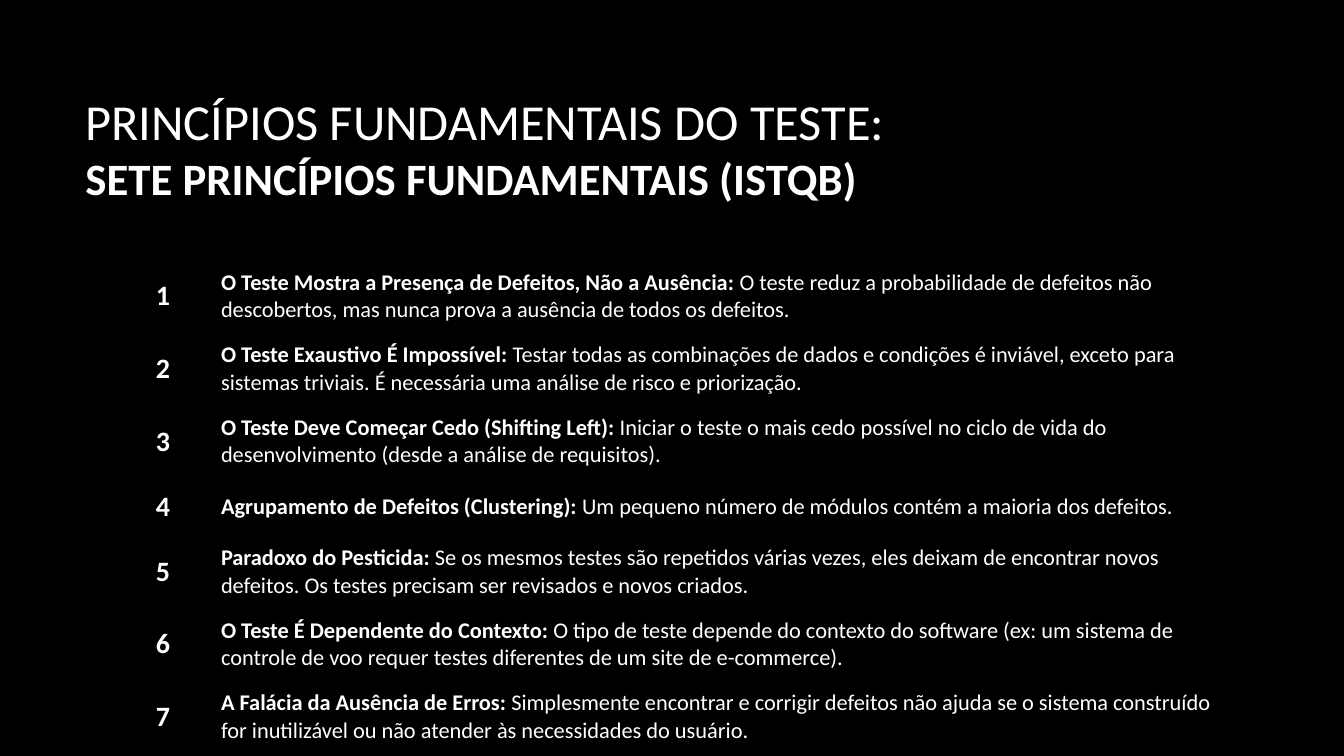
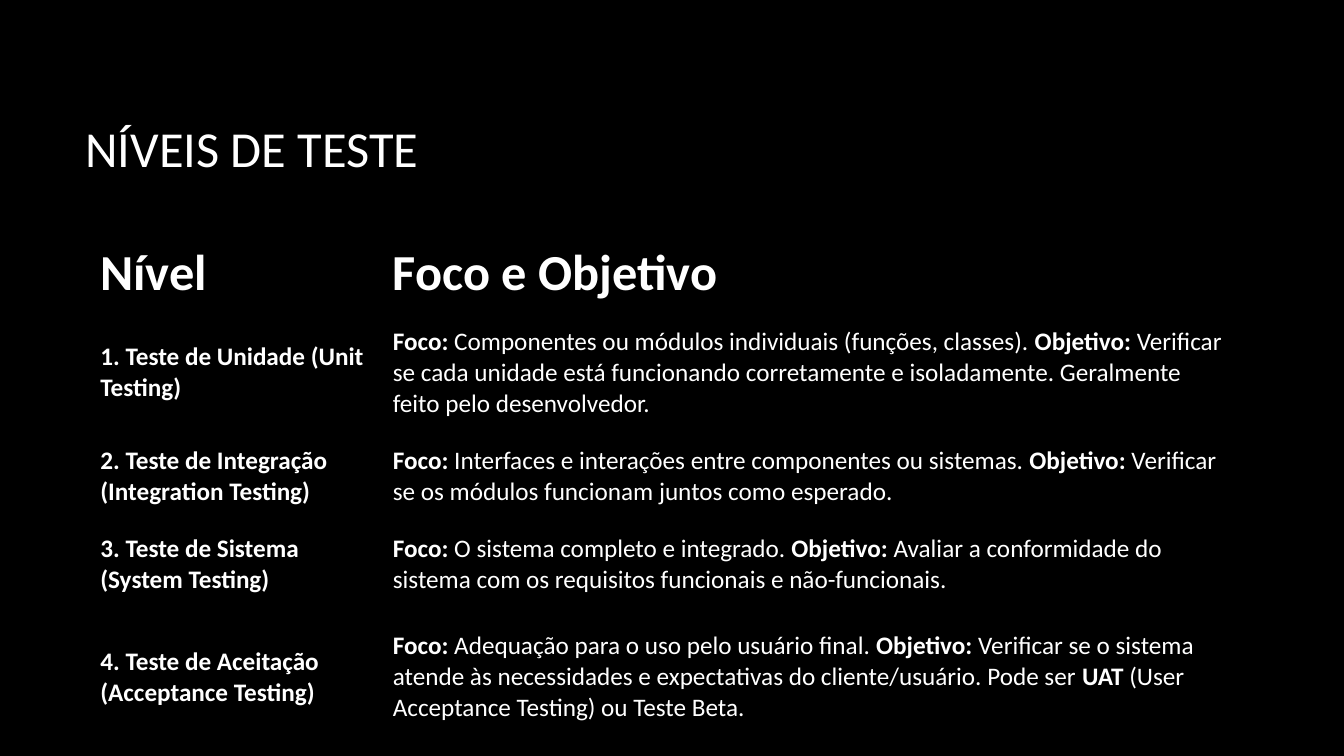
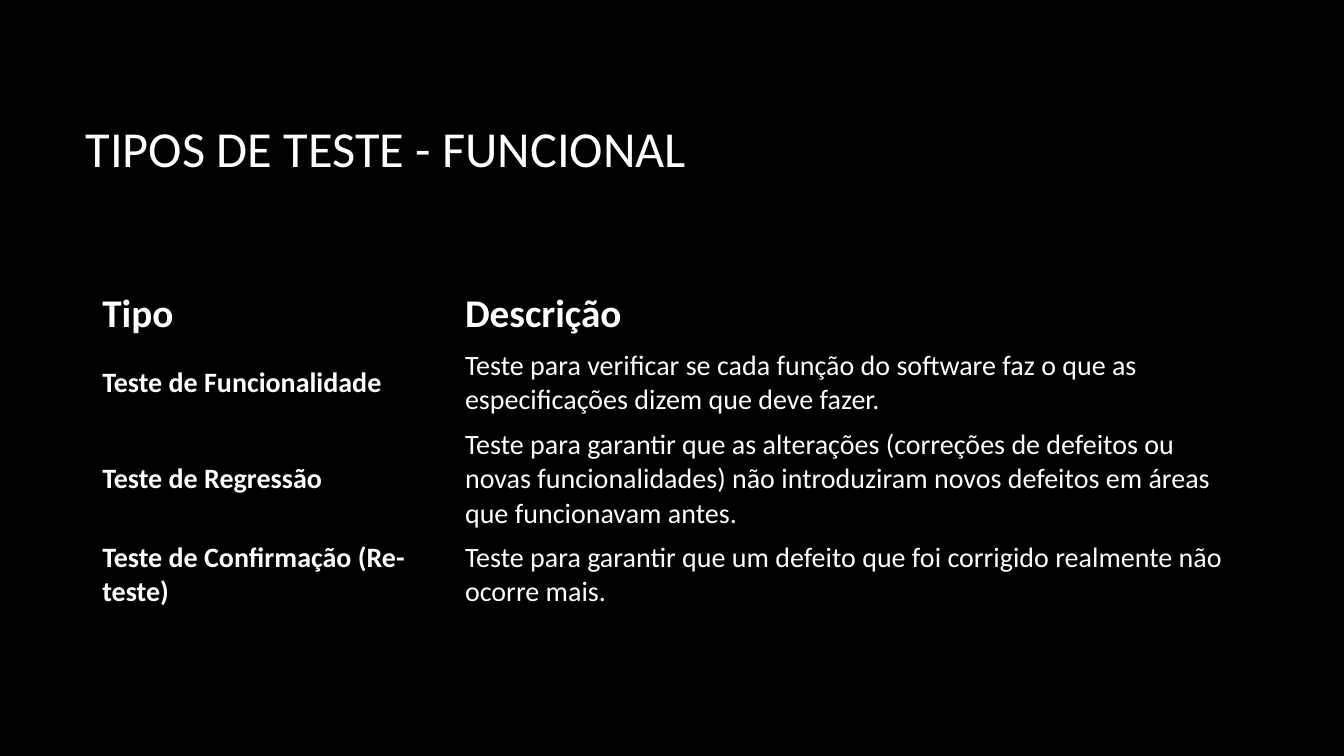
from pptx import Presentation
from pptx.dml.color import RGBColor
from pptx.enum.text import MSO_ANCHOR, PP_ALIGN
from pptx.oxml.ns import qn
from pptx.util import Cm, Pt

BLACK = RGBColor(0x00, 0x00, 0x00)
WHITE = RGBColor(0xFF, 0xFF, 0xFF)
FONT = "Calibri"
LEFT = PP_ALIGN.LEFT
CENTER = PP_ALIGN.CENTER
MIDDLE = MSO_ANCHOR.MIDDLE
TITLE_ONLY = 5
PLAIN_TABLE_STYLE = "{2D5ABB26-0587-4C30-8999-92F81FD0307C}"

PRINCIPLES = [
    "**O Teste Mostra a Presença de Defeitos, Não a Ausência:** O teste reduz a probabilidade "
    "de defeitos não descobertos, mas nunca prova a ausência de todos os defeitos.",
    "**O Teste Exaustivo É Impossível:** Testar todas as combinações de dados e condições é "
    "inviável, exceto para sistemas triviais. É necessária uma análise de risco e priorização.",
    "**O Teste Deve Começar Cedo (Shifting Left):** Iniciar o teste o mais cedo possível no "
    "ciclo de vida do desenvolvimento (desde a análise de requisitos).",
    "**Agrupamento de Defeitos (Clustering):** Um pequeno número de módulos contém a maioria "
    "dos defeitos.",
    "**Paradoxo do Pesticida:** Se os mesmos testes são repetidos várias vezes, eles deixam de "
    "encontrar novos defeitos. Os testes precisam ser revisados e novos criados.",
    "**O Teste É Dependente do Contexto:** O tipo de teste depende do contexto do software "
    "(ex: um sistema de controle de voo requer testes diferentes de um site de e-commerce).",
    "**A Falácia da Ausência de Erros:** Simplesmente encontrar e corrigir defeitos não ajuda se "
    "o sistema construído for inutilizável ou não atender às necessidades do usuário.",
]

LEVELS = [
    ("**Nível**", "**Foco e Objetivo**"),
    ("**1. Teste de Unidade (Unit Testing)**",
     "**Foco:** Componentes ou módulos individuais (funções, classes). **Objetivo:** Verificar "
     "se cada unidade está funcionando corretamente e isoladamente. Geralmente feito pelo "
     "desenvolvedor."),
    ("**2. Teste de Integração (Integration Testing)**",
     "**Foco:** Interfaces e interações entre componentes ou sistemas. **Objetivo:** Verificar "
     "se os módulos funcionam juntos como esperado."),
    ("**3. Teste de Sistema (System Testing)**",
     "**Foco:** O sistema completo e integrado. **Objetivo:** Avaliar a conformidade do sistema "
     "com os requisitos funcionais e não-funcionais."),
    ("**4. Teste de Aceitação (Acceptance Testing)**",
     "**Foco:** Adequação para o uso pelo usuário final. **Objetivo:** Verificar se o sistema "
     "atende às necessidades e expectativas do cliente/usuário. Pode ser **UAT** (User "
     "Acceptance Testing) ou Teste Beta."),
]

TYPES = [
    ("**Tipo**", "**Descrição**"),
    ("**Teste de Funcionalidade**",
     "Teste para verificar se cada função do software faz o que as especificações dizem que "
     "deve fazer."),
    ("**Teste de Regressão**",
     "Teste para garantir que as alterações (correções de defeitos ou novas funcionalidades) "
     "não introduziram novos defeitos em áreas que funcionavam antes."),
    ("**Teste de Confirmação (Re-teste)**",
     "Teste para garantir que um defeito que foi corrigido realmente não ocorre mais."),
]


class Deck:
    """Hold the shared style and the current slide, and add its elements."""

    def __init__(self):
        self.presentation = Presentation()
        self.presentation.slide_width = Cm(33.87)
        self.presentation.slide_height = Cm(19.05)
        background = self.presentation.slide_master.background.fill
        background.solid()
        background.fore_color.rgb = BLACK
        self.slide = None

    def fill_paragraph(self, paragraph, text, size, alignment=LEFT):
        """Set text in which pairs of asterisks enclose the bold parts."""
        paragraph.alignment = alignment
        paragraph.font.name = FONT
        paragraph.font.size = Pt(size)
        paragraph.font.color.rgb = WHITE
        for index, part in enumerate(text.split("**")):
            if part:
                run = paragraph.add_run()
                run.text = part
                run.font.bold = index % 2 == 1

    def add_slide(self, title, subtitle=None):
        """Start a slide with a title and an optional second line."""
        layout = self.presentation.slide_layouts[TITLE_ONLY]
        self.slide = self.presentation.slides.add_slide(layout)
        shape = self.slide.shapes.title
        shape.left, shape.top = Cm(1.9), Cm(1.7)
        shape.width, shape.height = Cm(28.15), Cm(4.04)
        frame = shape.text_frame
        frame.vertical_anchor = MIDDLE
        self.fill_paragraph(frame.paragraphs[0], title, 36)
        if subtitle:
            self.fill_paragraph(frame.add_paragraph(), subtitle, 32)

    def add_table(self, position, widths, heights, rows, sizes, margins,
                  header_size=None, first_alignment=LEFT):
        """Add a plain table with one text size per column."""
        left, top = position
        shape = self.slide.shapes.add_table(
            len(rows), len(widths), Cm(left), Cm(top), Cm(sum(widths)), Cm(sum(heights)))
        shape.element.find(".//" + qn("a:tableStyleId")).text = PLAIN_TABLE_STYLE
        table = shape.table
        table.first_row = header_size is not None
        table.horz_banding = False
        for column, width in zip(table.columns, widths):
            column.width = Cm(width)
        for row, height in zip(table.rows, heights):
            row.height = Cm(height)
        for row_index, texts in enumerate(rows):
            for column_index, text in enumerate(texts):
                cell = table.cell(row_index, column_index)
                cell.fill.background()
                cell.vertical_anchor = MIDDLE
                cell.margin_left = cell.margin_right = Cm(margins[0])
                cell.margin_top = cell.margin_bottom = Cm(margins[1])
                is_header = header_size and row_index == 0
                size = header_size if is_header else sizes[column_index]
                alignment = first_alignment if column_index == 0 else LEFT
                self.fill_paragraph(cell.text_frame.paragraphs[0], text, size, alignment)


def main():
    deck = Deck()

    deck.add_slide("PRINCÍPIOS FUNDAMENTAIS DO TESTE:",
                   "**SETE PRINCÍPIOS FUNDAMENTAIS (ISTQB)**")
    numbered = [(f"**{number}**", text) for number, text in enumerate(PRINCIPLES, 1)]
    deck.add_table((2.77, 6.55), (2.67, 25.68), [1.83] * 3 + [1.45] + [1.83] * 3,
                   numbered, (20, 16), (0.13, 0.08), first_alignment=CENTER)

    deck.add_slide("NÍVEIS DE TESTE")
    deck.add_table((2.33, 6.02), (7.37, 21.53), (1.73, 3.23, 1.98, 2.46, 3.23),
                   LEVELS, (18, 18), (0.2, 0.1), header_size=36)

    deck.add_slide("TIPOS DE TESTE - FUNCIONAL")
    deck.add_table((2.33, 7.19), (9.14, 20.07), (1.45, 1.98, 2.82, 1.98),
                   TYPES, (20, 20), (0.25, 0.13), header_size=28)

    deck.presentation.save("out.pptx")


if __name__ == "__main__":
    main()
